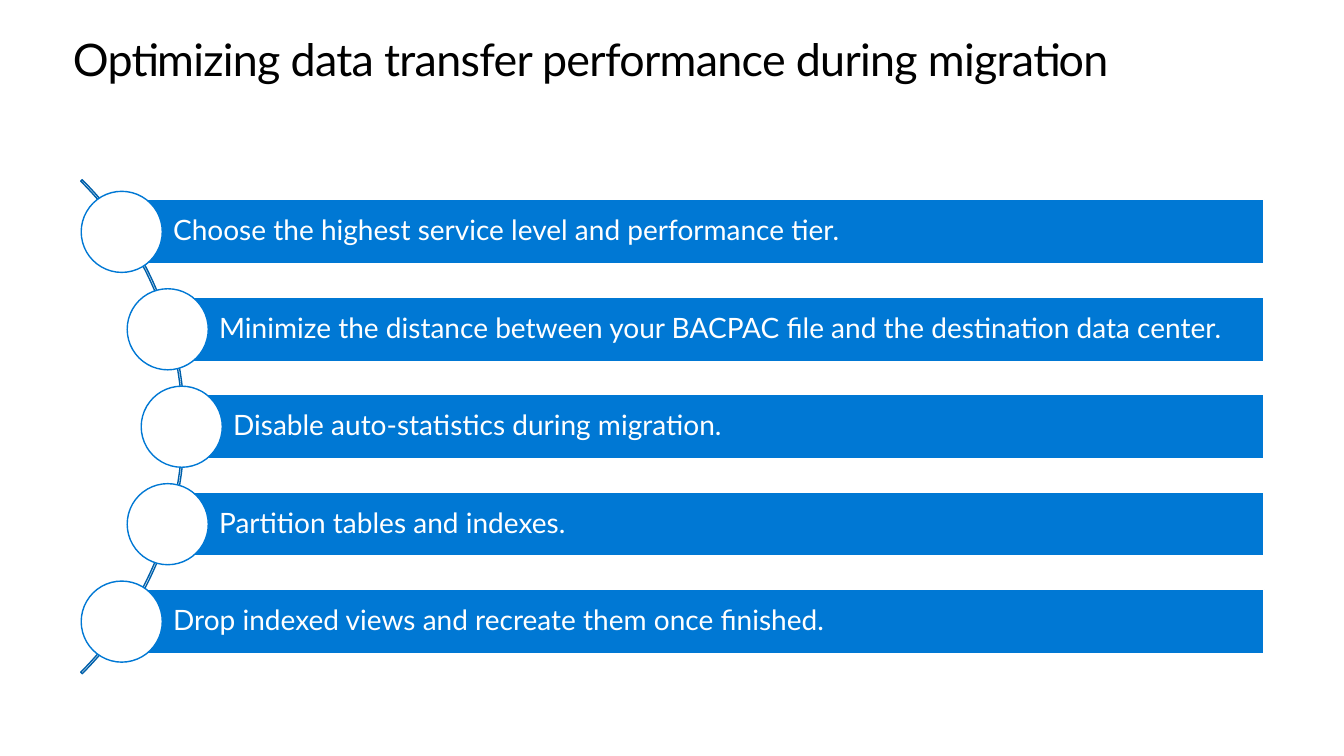
from dataclasses import dataclass
from math import sqrt

from pptx import Presentation
from pptx.dml.color import RGBColor
from pptx.enum.shapes import MSO_SHAPE
from pptx.enum.text import MSO_ANCHOR, MSO_AUTO_SIZE, PP_ALIGN
from pptx.shapes.autoshape import Shape
from pptx.slide import Slide
from pptx.util import Pt

FONT = "Lato"
BLUE, DARK_BLUE, WHITE, BLACK = "0078D4", "0060AA", "FFFFFF", "000000"
ARC_X, ARC_Y, ARC_RADIUS = -117.7, 304.8, 249.5
CIRCLE_TRACK = 247.5
ROW_STEP = 69.6
BAR_RIGHT, BAR_HEIGHT = 903, 45.8
CIRCLE_SIZE = 57.9


@dataclass
class Box:
    left: float
    top: float
    width: float
    height: float


@dataclass
class Tip:
    text: str
    row: int

    @property
    def x(self) -> float:
        return ARC_X + sqrt(CIRCLE_TRACK**2 - (self.row * ROW_STEP) ** 2)

    @property
    def y(self) -> float:
        return ARC_Y + self.row * ROW_STEP


TIPS = [
    Tip("Choose the highest service level and performance tier.", -2),
    Tip("Minimize the distance between your BACPAC file and the destination data center.", -1),
    Tip("Disable auto-statistics during migration.", 0),
    Tip("Partition tables and indexes.", 1),
    Tip("Drop indexed views and recreate them once finished.", 2),
]


def rgb(value: str) -> RGBColor:
    return RGBColor.from_string(value)


def add_shape(s: Slide, kind: MSO_SHAPE, box: Box, fill: str | None, line: str) -> Shape:
    sp = s.shapes.add_shape(kind, Pt(box.left), Pt(box.top), Pt(box.width), Pt(box.height))
    sp.shadow.inherit = False
    if fill:
        sp.fill.solid()
        sp.fill.fore_color.rgb = rgb(fill)
    else:
        sp.fill.background()
    sp.line.color.rgb = rgb(line)
    sp.line.width = Pt(1)
    return sp


def set_text(sp: Shape, text: str, size: float, color: str, insets: tuple[float, ...]) -> None:
    tf = sp.text_frame
    tf.text = text
    tf.word_wrap = True
    tf.margin_left, tf.margin_top, tf.margin_right, tf.margin_bottom = map(Pt, insets)
    p = tf.paragraphs[0]
    p.alignment = PP_ALIGN.LEFT
    r = p.runs[0]
    r.font.name = FONT
    r.font.size = Pt(size)
    r.font.color.rgb = rgb(color)


def add_title(s: Slide, text: str) -> None:
    sp = s.shapes.title
    sp.left, sp.top, sp.width, sp.height = Pt(52), Pt(25.2), Pt(856.8), Pt(36.2)
    sp.fill.solid()
    sp.fill.fore_color.rgb = rgb(WHITE)
    set_text(sp, text, 32, BLACK, (0, 0, 0, 0))
    tf = sp.text_frame
    tf.vertical_anchor = MSO_ANCHOR.TOP
    tf.auto_size = MSO_AUTO_SIZE.SHAPE_TO_FIT_TEXT
    p = tf.paragraphs[0]
    p.line_spacing = Pt(36.2)
    p.runs[0].font._element.set("spc", "-50")


def add_arc(s: Slide) -> None:
    box = Box(ARC_X - ARC_RADIUS, ARC_Y - ARC_RADIUS, 2 * ARC_RADIUS, 2 * ARC_RADIUS)
    sp = add_shape(s, MSO_SHAPE.BLOCK_ARC, box, None, DARK_BLUE)
    for i, value in enumerate((189, 27, 0.003)):
        sp.adjustments[i] = value


def add_tip(s: Slide, tip: Tip) -> None:
    bar = Box(tip.x, tip.y - BAR_HEIGHT / 2, BAR_RIGHT - tip.x, BAR_HEIGHT)
    sp = add_shape(s, MSO_SHAPE.RECTANGLE, bar, BLUE, WHITE)
    set_text(sp, tip.text, 20, WHITE, (36.7, 4, 4, 4))
    sp.text_frame.vertical_anchor = MSO_ANCHOR.MIDDLE
    sp.text_frame.paragraphs[0].line_spacing = 0.9
    radius = CIRCLE_SIZE / 2
    circle = Box(tip.x - radius, tip.y - radius, CIRCLE_SIZE, CIRCLE_SIZE)
    add_shape(s, MSO_SHAPE.OVAL, circle, WHITE, BLUE)


def main() -> None:
    prs = Presentation()
    prs.slide_width, prs.slide_height = Pt(960), Pt(540)
    s = prs.slides.add_slide(prs.slide_layouts[5])
    add_title(s, "Optimizing data transfer performance during migration")
    add_arc(s)
    for tip in TIPS:
        add_tip(s, tip)
    prs.save("out.pptx")


if __name__ == "__main__":
    main()
